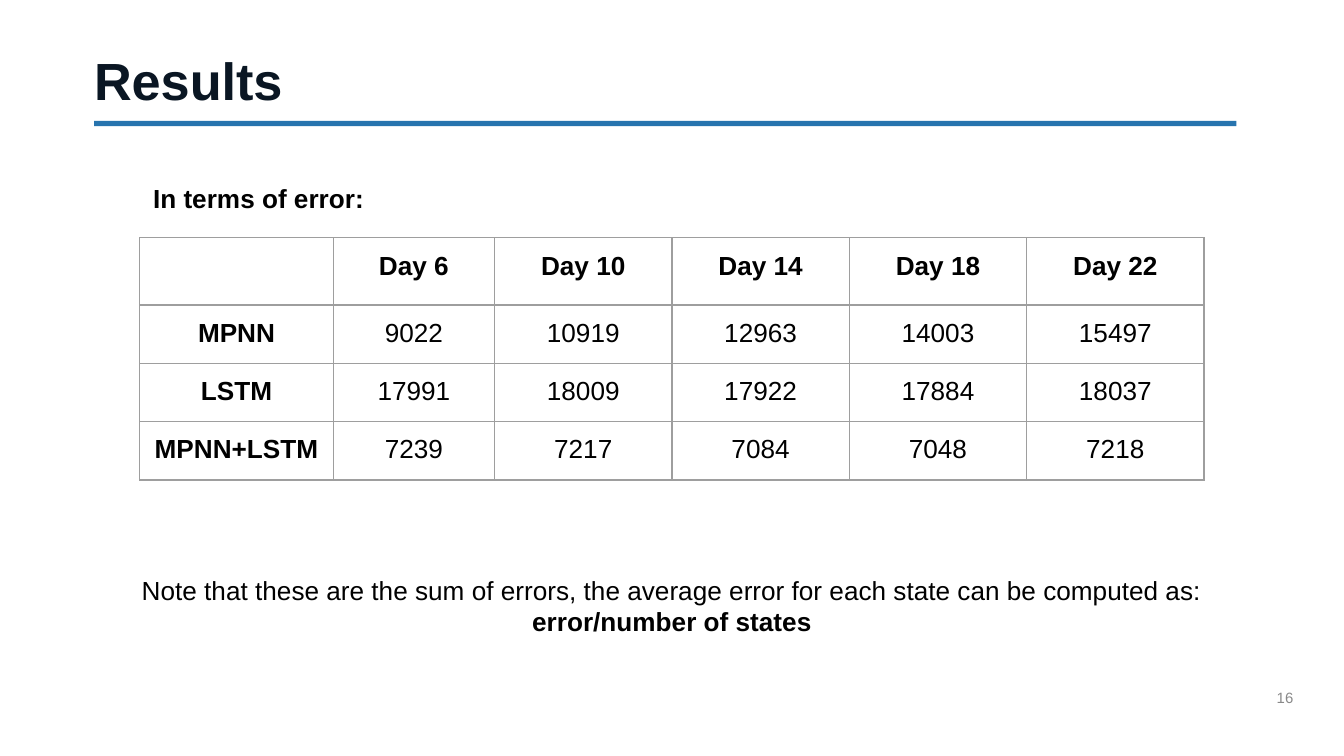
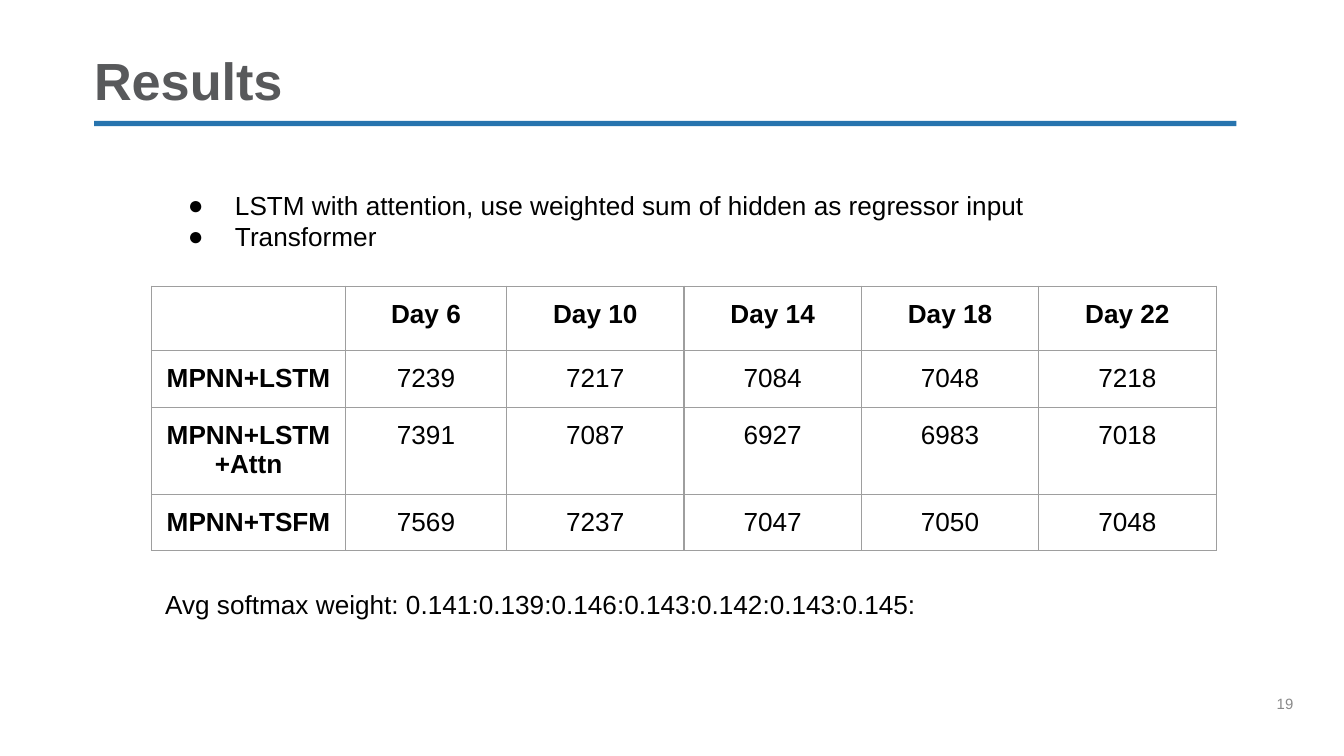
from dataclasses import dataclass

from lxml.etree import SubElement
from pptx import Presentation
from pptx.dml.color import RGBColor
from pptx.enum.shapes import MSO_SHAPE
from pptx.enum.text import MSO_ANCHOR, MSO_AUTO_SIZE, PP_ALIGN
from pptx.oxml.ns import qn
from pptx.util import Inches, Pt


@dataclass(frozen=True)
class Theme:
    font: str = "Arial"
    title_size: int = 28
    body_size: int = 14
    number_size: int = 8
    rule: str = "2774AE"
    ink: str = "000000"
    muted: str = "898989"
    grid: str = "9E9E9E"
    grid_width: float = 0.75
    inset: float = 0.1


THEME = Theme()
WIDTH = 10
HEIGHT = WIDTH * 9 / 16
MARGIN, CONTENT_WIDTH = 0.7, 8.5
COLUMNS = [1.44, 1.2] + [1.32] * 4
DAYS = ["", "Day 6", "Day 10", "Day 14", "Day 18", "Day 22"]
COMBINED = ("MPNN+LSTM", 7239, 7217, 7084, 7048, 7218)

SLIDES = [
    {
        "heading": {"title": "Results", "color": "0A1623"},
        "page": {"number": "16", "bottom": 0.28, "fits": True},
        "table": {
            "corner": (1.04, 1.77),
            "heights": [0.5, 0.43, 0.43, 0.43],
            "bottom": 0.1,
            "rows": [
                DAYS,
                ("MPNN", 9022, 10919, 12963, 14003, 15497),
                ("LSTM", 17991, 18009, 17922, 17884, 18037),
                COMBINED,
            ],
        },
        "texts": [
            {"box": (1.04, 1.26, 4.42, 0.52),
             "paragraphs": [[("In terms of error:", True)]]},
            {"box": (0.78, 4.17, 8.44, 0.52), "align": PP_ALIGN.CENTER,
             "paragraphs": [[
                 ("Note that these are the sum of errors, the average error "
                  "for each state can be computed as: ", False),
                 ("error/number of states", True)]]},
        ],
    },
    {
        "heading": {"title": "Results", "color": "58595B"},
        "page": {"number": "19", "bottom": 0.2, "fits": False},
        "table": {
            "corner": (1.13, 2.13),
            "heights": [0.48, 0.42, 0.63, 0.42],
            "bottom": 0.08,
            "rows": [
                DAYS,
                COMBINED,
                ("MPNN+LSTM+Attn", 7391, 7087, 6927, 6983, 7018),
                ("MPNN+TSFM", 7569, 7237, 7047, 7050, 7048),
            ],
        },
        "texts": [
            {"box": (1.15, 1.31, 7.88, 0.82), "bullet": "●",
             "paragraphs": [
                 [("LSTM with attention, use weighted sum of hidden as "
                   "regressor input", False)],
                 [("Transformer", False)]]},
            {"box": (1.13, 4.28, 7.92, 0.43),
             "paragraphs": [[("Avg softmax weight: 0.141:0.139:0.146:0.143:"
                              "0.142:0.143:0.145:", False)]]},
        ],
    },
]


def add_run(paragraph, words, size=THEME.body_size, color=THEME.ink, bold=False):
    run = paragraph.add_run()
    run.text = words
    run.font.name = THEME.font
    run.font.size = Pt(size)
    run.font.bold = bold
    run.font.color.rgb = RGBColor.from_string(color)


def set_insets(holder, left, top, right, bottom):
    holder.margin_left, holder.margin_top = Inches(left), Inches(top)
    holder.margin_right, holder.margin_bottom = Inches(right), Inches(bottom)


def add_frame(slide, box, insets=(THEME.inset,) * 4):
    frame = slide.shapes.add_textbox(*map(Inches, box)).text_frame
    frame.word_wrap = True
    set_insets(frame, *insets)
    return frame


def add_bullet(paragraph, mark):
    properties = paragraph._p.get_or_add_pPr()
    properties.set("marL", str(Inches(0.5)))
    properties.set("indent", str(Inches(-0.35)))
    color = SubElement(properties, qn("a:buClr"))
    SubElement(color, qn("a:srgbClr"), val=THEME.ink)
    SubElement(properties, qn("a:buFont"), typeface=THEME.font)
    SubElement(properties, qn("a:buChar"), char=mark)


def add_text(slide, box, paragraphs, align=PP_ALIGN.LEFT, bullet=None):
    frame = add_frame(slide, box)
    for index, runs in enumerate(paragraphs):
        paragraph = frame.add_paragraph() if index else frame.paragraphs[0]
        paragraph.alignment = align
        if bullet:
            add_bullet(paragraph, bullet)
        for words, bold in runs:
            add_run(paragraph, words, bold=bold)


def add_borders(cell):
    properties = cell._tc.get_or_add_tcPr()
    for side in ("lnL", "lnR", "lnT", "lnB"):
        line = SubElement(properties, qn(f"a:{side}"), w=str(Pt(THEME.grid_width)))
        fill = SubElement(line, qn("a:solidFill"))
        SubElement(fill, qn("a:srgbClr"), val=THEME.grid)


def add_results(slide, corner, heights, bottom, rows):
    size = (sum(COLUMNS), sum(heights))
    table = slide.shapes.add_table(
        len(rows), len(COLUMNS), *map(Inches, corner + size)).table
    table.first_row = table.horz_banding = False
    for column, width in zip(table.columns, COLUMNS):
        column.width = Inches(width)
    for row, height in zip(table.rows, heights):
        row.height = Inches(height)
    for r, values in enumerate(rows):
        for c, value in enumerate(values):
            cell = table.cell(r, c)
            set_insets(cell, *(THEME.inset,) * 3, bottom)
            add_borders(cell)
            cell.fill.background()
            paragraph = cell.text_frame.paragraphs[0]
            if value:
                paragraph.alignment = PP_ALIGN.CENTER
                add_run(paragraph, str(value), bold=r == 0 or c == 0)
            else:
                SubElement(paragraph._p, qn("a:endParaRPr"),
                           sz=str(THEME.body_size * 100))


def add_rule(slide):
    rule = slide.shapes.add_shape(
        MSO_SHAPE.RECTANGLE, *map(Inches, (MARGIN, 0.9, CONTENT_WIDTH, 0.04)))
    rule.shadow.inherit = False
    rule.fill.solid()
    rule.fill.fore_color.rgb = RGBColor.from_string(THEME.rule)
    rule.line.fill.background()


def add_page(slide, number, bottom, fits):
    page = add_frame(slide, (WIDTH - 0.5, 5.2, 0.5, 0.4), (0, 0, 0, bottom))
    if fits:
        page.auto_size = MSO_AUTO_SIZE.SHAPE_TO_FIT_TEXT
    add_run(page.paragraphs[0], number, THEME.number_size, THEME.muted)


def add_heading(slide, title, color):
    heading = add_frame(slide, (MARGIN, 0.4, CONTENT_WIDTH, 0.43), (0,) * 4)
    heading.vertical_anchor = MSO_ANCHOR.BOTTOM
    heading.paragraphs[0].line_spacing = 0.9
    add_run(heading.paragraphs[0], title, THEME.title_size, color, True)


def main():
    deck = Presentation()
    deck.slide_width, deck.slide_height = Inches(WIDTH), Inches(HEIGHT)
    for content in SLIDES:
        slide = deck.slides.add_slide(deck.slide_layouts[6])
        add_rule(slide)
        add_page(slide, **content["page"])
        add_heading(slide, **content["heading"])
        add_results(slide, **content["table"])
        for text in content["texts"]:
            add_text(slide, **text)
    deck.save("out.pptx")


if __name__ == "__main__":
    main()
